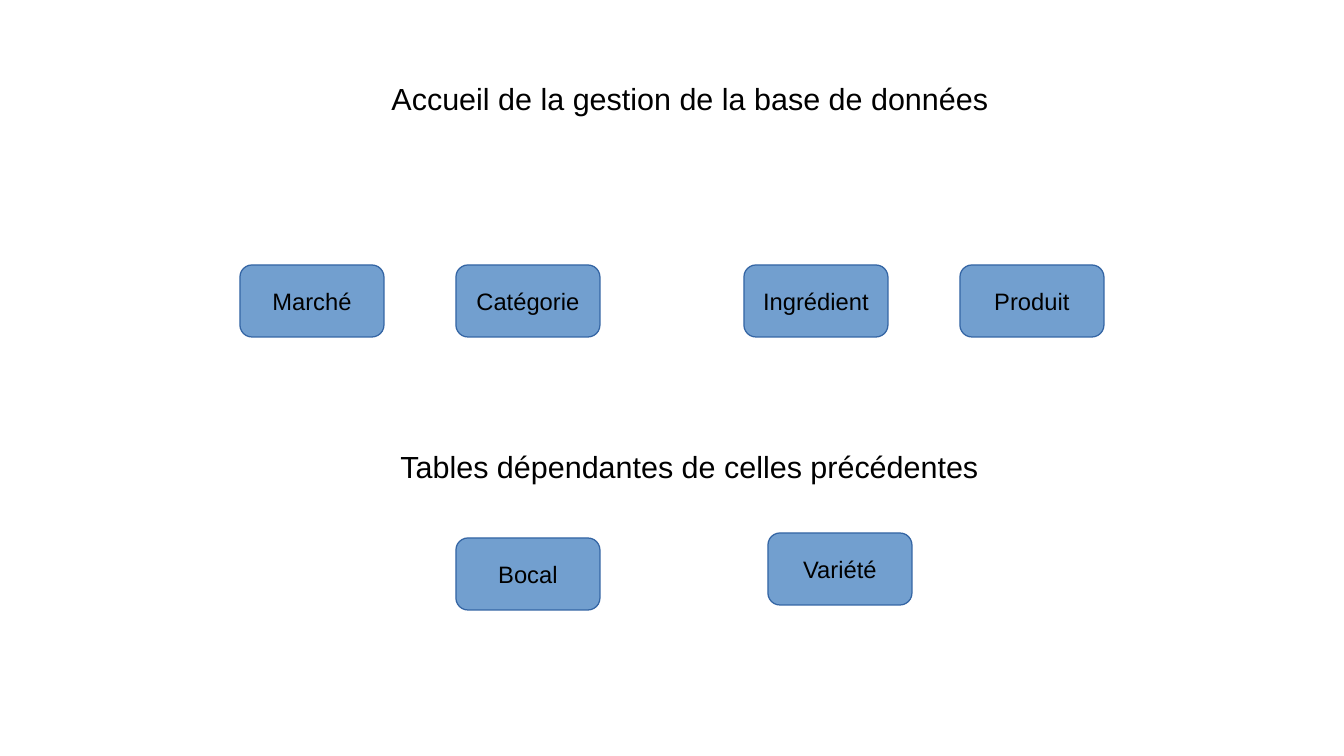
from pptx import Presentation
from pptx import util as u
from pptx.dml.color import RGBColor
from pptx.enum import shapes, text

PX = 914400 / 122  # EMU per px
BLACK = RGBColor(0x00, 0x00, 0x00)
BUTTON_FILL = RGBColor(0x72, 0x9F, 0xCF)
BUTTON_LINE = RGBColor(0x34, 0x65, 0xA4)
BUTTON_W, BUTTON_H = 144, 72
HEADING_H = 46


def px(*lengths):
    return [u.Emu(round(n * PX)) for n in lengths]


def write(sp, words, size, align, frame):
    tf = sp.text_frame
    for name, value in frame.items():
        setattr(tf, name, value)
    p = tf.paragraphs[0]
    p.alignment = align
    r = p.add_run()
    r.text = words
    for name, value in {"name": "Arial", "size": u.Pt(size)}.items():
        setattr(r.font, name, value)
    r.font.color.rgb = BLACK


def add_heading(s, x, y, w, words):
    sp = s.shapes.add_textbox(*px(x, y, w, HEADING_H))
    write(sp, words, 18, text.PP_ALIGN.LEFT,
          {"word_wrap": False, "auto_size": text.MSO_AUTO_SIZE.SHAPE_TO_FIT_TEXT})


def add_button(s, x, y, words):
    sp = s.shapes.add_shape(shapes.MSO_SHAPE.ROUNDED_RECTANGLE,
                            *px(x, y, BUTTON_W, BUTTON_H))
    sp.shadow.inherit = False
    sp.fill.solid()
    sp.fill.fore_color.rgb = BUTTON_FILL
    sp.line.color.rgb = BUTTON_LINE
    sp.line.width = u.Pt(0)
    write(sp, words, 14, text.PP_ALIGN.CENTER,
          {"word_wrap": True, "vertical_anchor": text.MSO_ANCHOR.MIDDLE})


def add_section(s, box, heading, buttons):
    """Heading centred in the box, buttons at offsets from its corner."""
    left, top, width = box
    words, heading_w = heading
    add_heading(s, left + (width - heading_w) / 2, top, heading_w, words)
    for name, dx, dy in buttons:
        add_button(s, left + dx, top + dy, name)


def main():
    prs = Presentation()
    prs.slide_width, prs.slide_height = px(1344, 756)
    s = prs.slides.add_slide(prs.slide_layouts[6])

    # Main tables
    add_section(s, (240, 74, 900), ("Accueil de la gestion de la base de données", 621),
                [("Marché", 0, 191), ("Catégorie", 216, 191),
                 ("Ingrédient", 504, 191), ("Produit", 720, 191)])

    # Dependent tables
    add_section(s, (240, 442, 900), ("Tables dépendantes de celles précédentes", 603),
                [("Bocal", 216, 96), ("Variété", 528, 91)])

    prs.save("out.pptx")


if __name__ == "__main__":
    main()
